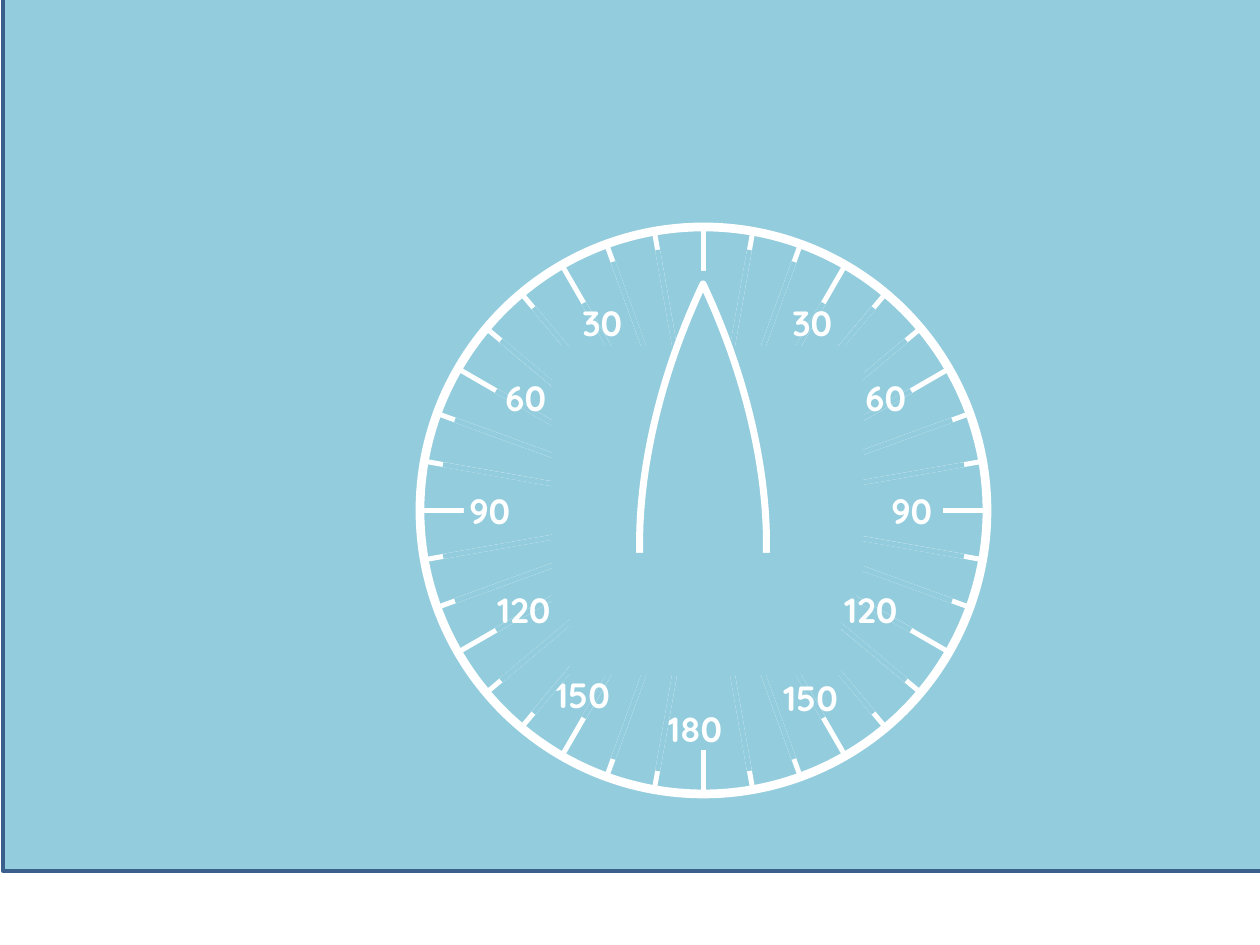
"""Build a slide with a rudder-angle dial and a bow-shaped pointer."""
import pptx
import pptx.dml.color
import pptx.enum.shapes
import pptx.enum.text
import pptx.util

SHAPE = pptx.enum.shapes.MSO_SHAPE
COLORS = {"sea": "93CDDD", "white": "FFFFFF", "border": "3A5F8C"}


class Board:
    """Hold the style and the current slide, and draw in picture pixels."""

    font = "Quicksand"
    label_size = 20
    scale = 914400 / 126

    def __init__(self, slide):
        """Start drawing on the slide."""
        self.slide = slide

    def emu(self, *lengths):
        """Turn pixels into EMU."""
        return [pptx.util.Emu(round(length * self.scale)) for length in lengths]

    def color(self, name):
        """Look up a colour by name."""
        return pptx.dml.color.RGBColor.from_string(COLORS[name])

    def group(self):
        """Add an empty group and return its shapes."""
        return self.slide.shapes.add_group_shape().shapes

    def shape(self, box, fill="sea", line=None, width=0, kind=SHAPE.RECTANGLE,
              rotation=0, parent=None):
        """Add a preset shape."""
        shape = (parent or self.slide.shapes).add_shape(kind, *self.emu(*box))
        shape.shadow.inherit = False
        shape.rotation = rotation
        if fill:
            shape.fill.solid()
            shape.fill.fore_color.rgb = self.color(fill)
        else:
            shape.fill.background()
        if line:
            shape.line.color.rgb = self.color(line)
            shape.line.width = pptx.util.Pt(width)
        else:
            shape.line.fill.background()

    def ticks(self, angle):
        """Add the two opposite ticks that lie on one diameter."""
        inner = (464, 508, 479, 5) if angle % 30 == 0 else (439, 508, 529, 5)
        pair = self.group()
        self.shape((420, 508, 567, 5), "white", rotation=angle, parent=pair)
        self.shape(inner, rotation=angle, parent=pair)

    def label(self, text, left, top, parent):
        """Add an angle label."""
        width = 81 if text in ("30", "60") else 101
        frame = parent.add_textbox(*self.emu(left, top, width, 55)).text_frame
        frame.word_wrap = True
        frame.auto_size = pptx.enum.text.MSO_AUTO_SIZE.SHAPE_TO_FIT_TEXT
        paragraph = frame.paragraphs[0]
        paragraph.text = text
        paragraph.font.name = self.font
        paragraph.font.size = pptx.util.Pt(self.label_size)
        paragraph.font.bold = True
        paragraph.font.color.rgb = self.color("white")


deck = pptx.Presentation()
deck.slide_width, deck.slide_height = pptx.util.Inches(10), pptx.util.Inches(7.5)
board = Board(deck.slides.add_slide(deck.slide_layouts[6]))

board.shape((3, -74, 1260, 945), line="border", width=2)
board.shape((420, 227, 567, 567), line="white", width=5, kind=SHAPE.OVAL)

long_angles = range(0, 180, 30)
short_angles = [angle for angle in range(10, 180, 10) if angle % 30]
for angle in long_angles:
    board.ticks(angle)
board.shape((552, 415, 304, 192))

angle_labels = [
    ("30", 780, 295), ("60", 853, 370), ("90", 879, 483), ("120", 832, 582),
    ("150", 771, 670), ("180", 655, 701), ("150", 543, 667), ("120", 485, 582),
    ("90", 457, 483), ("60", 493, 370), ("30", 570, 295),
]
scale_labels = board.group()
for text, left, top in angle_labels:
    board.label(text, left, top, scale_labels)

for angle in short_angles:
    board.ticks(angle)
for dial_center in ((570, 573, 271, 102), (552, 346, 311, 248)):
    board.shape(dial_center)

pointer = board.group()
board.shape((640, 284, 126, 364), None, "white", 4, SHAPE.HEART, 180, pointer)
board.shape((609, 553, 189, 111), parent=pointer)

deck.save("out.pptx")
